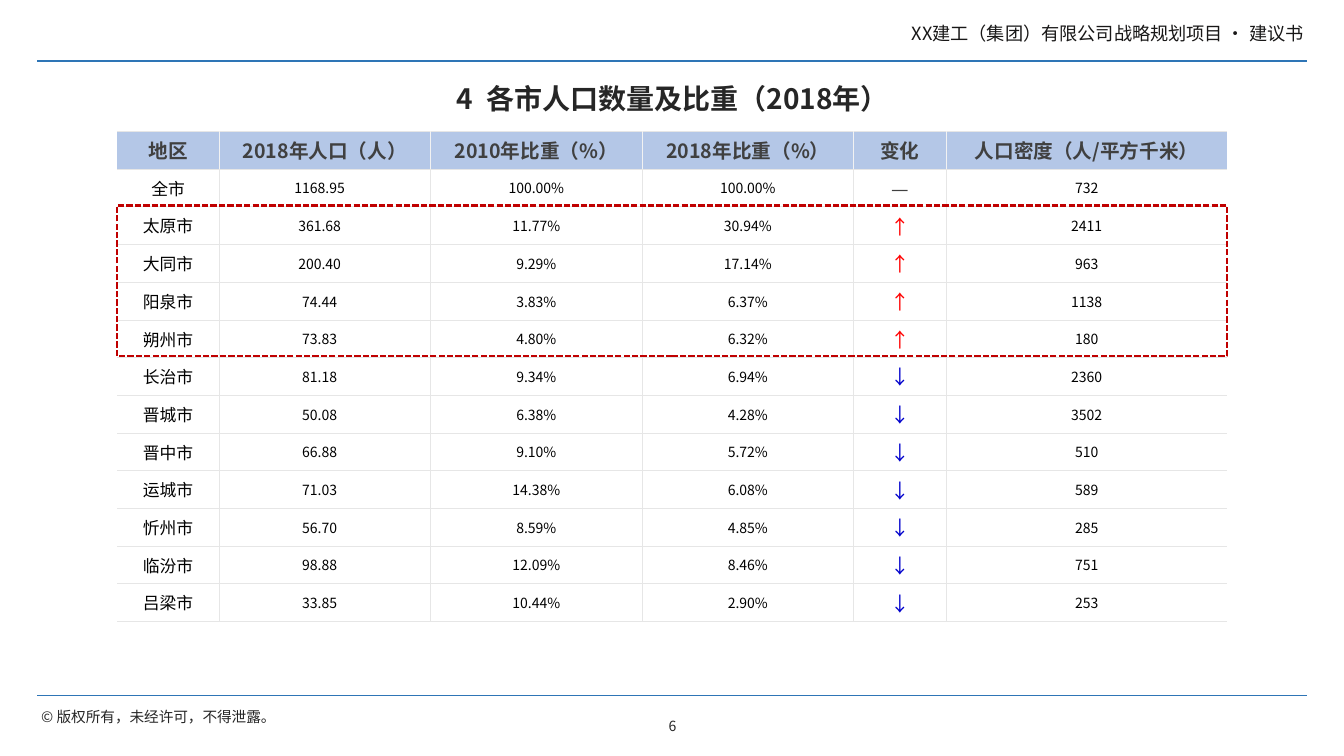
import lxml.etree
import pptx
import pptx.dml.color
import pptx.enum.dml
import pptx.enum.shapes
import pptx.enum.text
import pptx.oxml
import pptx.oxml.ns
import pptx.util

Cm, Pt = pptx.util.Cm, pptx.util.Pt
ALIGN = pptx.enum.text.PP_ALIGN
MIDDLE = pptx.enum.text.MSO_ANCHOR.MIDDLE
qn = pptx.oxml.ns.qn

HEADINGS = ["地区", "2018年人口（人）", "2010年比重（%）", "2018年比重（%）",
            "变化", "人口密度（人/平方千米）"]
CITIES = [
    ["全市", "1168.95", "100.00%", "100.00%", "—", "732"],
    ["太原市", "361.68", "11.77%", "30.94%", "↑", "2411"],
    ["大同市", "200.40", "9.29%", "17.14%", "↑", "963"],
    ["阳泉市", "74.44", "3.83%", "6.37%", "↑", "1138"],
    ["朔州市", "73.83", "4.80%", "6.32%", "↑", "180"],
    ["长治市", "81.18", "9.34%", "6.94%", "↓", "2360"],
    ["晋城市", "50.08", "6.38%", "4.28%", "↓", "3502"],
    ["晋中市", "66.88", "9.10%", "5.72%", "↓", "510"],
    ["运城市", "71.03", "14.38%", "6.08%", "↓", "589"],
    ["忻州市", "56.70", "8.59%", "4.85%", "↓", "285"],
    ["临汾市", "98.88", "12.09%", "8.46%", "↓", "751"],
    ["吕梁市", "33.85", "10.44%", "2.90%", "↓", "253"],
]
COL_WIDTHS = [2.57, 5.33, 5.33, 5.33, 2.34, 7.07]
ROW_HEIGHT = 0.95
TABLE_LEFT, TABLE_TOP = 2.95, 3.31
POPULATION, CHANGE = 1, 4
CHANGE_COLORS = {"—": "404040", "↑": "FF0000", "↓": "0000CC"}


def rgb(color):
    return pptx.dml.color.RGBColor.from_string(color)


class Deck:
    font = "Noto Sans CJK SC"
    ink = "262626"
    rule_color = "2E75B6"
    grid_color = "E6E6E6"
    header_grid = "F2F2F2"
    header_fill = "B4C7E7"

    def __init__(self, prs):
        self.s = prs.slides.add_slide(prs.slide_layouts[5])

    def set_text(self, tf, text, size, color=ink, align=ALIGN.CENTER, bold=False):
        tf.text = text
        p = tf.paragraphs[0]
        p.alignment = align
        for r in p.runs:
            r.font.size, r.font.bold, r.font.name = Pt(size), bold, self.font
            r.font.color.rgb = rgb(color)
            ea = lxml.etree.SubElement(r._r.get_or_add_rPr(), qn("a:ea"))
            ea.set("typeface", self.font)
        return p

    def title(self, text, x, y, w, h):
        sp = self.s.shapes.title
        sp.left, sp.top, sp.width, sp.height = Cm(x), Cm(y), Cm(w), Cm(h)
        sp.text_frame.vertical_anchor = MIDDLE
        self.set_text(sp.text_frame, text, 20, bold=True).line_spacing = 0.9

    def text(self, text, x, y, w, h, size, color=ink, align=ALIGN.LEFT,
             anchor=MIDDLE, wrap=True):
        sp = self.s.shapes.add_textbox(Cm(x), Cm(y), Cm(w), Cm(h))
        tf = sp.text_frame
        tf.word_wrap = wrap
        tf.vertical_anchor = anchor
        tf.margin_left = tf.margin_right = tf.margin_top = tf.margin_bottom = Cm(0.1)
        self.set_text(tf, text, size, color, align)

    def rule(self, x1, x2, y, width):
        line = self.s.shapes.add_connector(
            pptx.enum.shapes.MSO_CONNECTOR.STRAIGHT, Cm(x1), Cm(y), Cm(x2), Cm(y))
        line.line.color.rgb = rgb(self.rule_color)
        line.line.width = Pt(width)
        lxml.etree.SubElement(line._element.spPr, qn("a:effectLst"))

    def borders(self, cell, sides):
        """Draw each side in its colour; a side with no colour stays empty."""
        tcPr = cell._tc.get_or_add_tcPr()
        for side in "LRTB":
            ln = lxml.etree.SubElement(tcPr, qn("a:ln" + side), w=str(Pt(0.5)))
            if sides[side]:
                fill = lxml.etree.SubElement(ln, qn("a:solidFill"))
                lxml.etree.SubElement(fill, qn("a:srgbClr"), val=sides[side])
            else:
                lxml.etree.SubElement(ln, qn("a:noFill"))

    def cell(self, cell, text, row, col):
        vertical = self.grid_color if row else self.header_grid
        self.borders(cell, {
            "L": vertical if col else None,
            "R": vertical if col < len(HEADINGS) - 1 else None,
            "T": self.grid_color, "B": self.grid_color})
        cell.vertical_anchor = MIDDLE
        cell.margin_left = cell.margin_right = Cm(0.04)
        cell.margin_top = cell.margin_bottom = 0
        if row == 0:
            cell.fill.solid()
            cell.fill.fore_color.rgb = rgb(self.header_fill)
            self.set_text(cell.text_frame, text, 14, "404040", bold=True)
            return
        cell.fill.background()
        if col == CHANGE:
            self.set_text(cell.text_frame, text, 14, CHANGE_COLORS[text])
        else:
            self.set_text(cell.text_frame, text, 10 if col else 12, "000000")
        if col == POPULATION:
            cell.margin_right = Cm(0.3)

    def table(self, rows, x, y, widths, row_height):
        table = self.s.shapes.add_table(
            len(rows), len(widths), Cm(x), Cm(y),
            Cm(sum(widths)), Cm(row_height * len(rows))).table
        table.horz_banding = False
        for column, width in zip(table.columns, widths):
            column.width = Cm(width)
        for i, values in enumerate(rows):
            table.rows[i].height = Cm(row_height)
            for j, value in enumerate(values):
                self.cell(table.cell(i, j), value, i, j)

    def dashed_frame(self, x, y, w, h):
        sp = self.s.shapes.add_shape(
            pptx.enum.shapes.MSO_SHAPE.RECTANGLE, Cm(x), Cm(y), Cm(w), Cm(h))
        sp.shadow.inherit = False
        sp.fill.background()
        sp.line.color.rgb = rgb("C00000")
        sp.line.width = Pt(1.5)
        sp.line.dash_style = pptx.enum.dml.MSO_LINE.SQUARE_DOT


def main():
    prs = pptx.Presentation()
    prs.slide_width, prs.slide_height = Cm(33.87), Cm(19.05)
    deck = Deck(prs)
    deck.rule(0.94, 32.94, 1.53, 1.5)
    deck.rule(0.94, 32.94, 17.53, 0.75)
    deck.text("XX建工（集团）有限公司战略规划项目 · 建议书", 17.35, 0.46, 15.6, 0.76, 13,
              "181717", ALIGN.RIGHT, pptx.enum.text.MSO_ANCHOR.TOP)
    deck.text("© 版权所有，未经许可，不得泄露。", 0.94, 17.73, 6.27, 0.66, 10.5, wrap=False)
    deck.text("6", 15.47, 17.78, 2.95, 1.02, 10, align=ALIGN.CENTER)
    deck.title("4  各市人口数量及比重（2018年）", 0.97, 1.73, 31.98, 1.6)
    deck.table([HEADINGS] + CITIES, TABLE_LEFT, TABLE_TOP, COL_WIDTHS, ROW_HEIGHT)
    rising = sum(city[CHANGE] == "↑" for city in CITIES)
    deck.dashed_frame(TABLE_LEFT, TABLE_TOP + 2 * ROW_HEIGHT - 0.03,
                      sum(COL_WIDTHS), rising * ROW_HEIGHT)
    prs.save("out.pptx")


if __name__ == "__main__":
    main()
